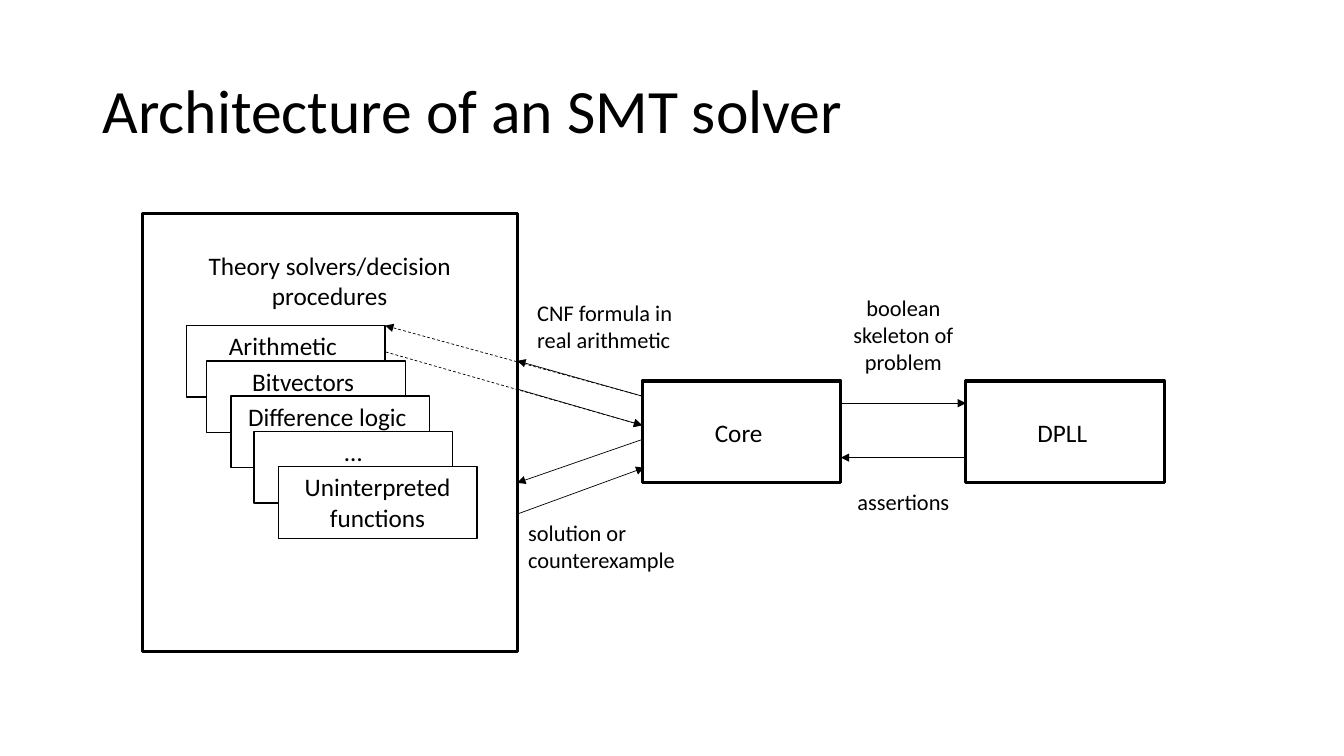
from lxml.etree import SubElement
from pptx import Presentation
from pptx.dml.color import RGBColor
from pptx.enum.dml import MSO_LINE
from pptx.enum.shapes import MSO_CONNECTOR, MSO_SHAPE
from pptx.enum.text import MSO_ANCHOR, PP_ALIGN
from pptx.oxml.ns import qn
from pptx.util import Inches, Pt

COLORS = {"ink": "000000", "paper": "FFFFFF"}
FONT = "Calibri"

# Regions as left, top, width, height in inches
TITLE = (0.92, 0.4, 11.5, 1.45)
THEORY = (1.41, 2.12, 3.72, 4.34)
CORE = (6.37, 3.78, 1.97, 1.01)
DPLL = (9.58, 3.78, 1.97, 1.01)

# Theory solvers with their left offset inside the panel
SOLVERS = [("Arithmetic ", 0.44), ("Bitvectors ", 0.64), ("Difference logic ", 0.88),
           ("…", 1.11), ("Uninterpreted functions", 1.35)]


def color(name):
    return RGBColor.from_string(COLORS[name])


def write(frame, lines, size, align, anchor=MSO_ANCHOR.TOP):
    frame.vertical_anchor = anchor
    for index, line in enumerate(lines):
        paragraph = frame.add_paragraph() if index else frame.paragraphs[0]
        paragraph.text = line
        paragraph.alignment = align
        paragraph.font.name = FONT
        paragraph.font.size = Pt(size)
        paragraph.font.color.rgb = color("ink")


def add_box(slide, box, text, line_width, anchor, filled=True):
    shape = slide.shapes.add_shape(MSO_SHAPE.RECTANGLE, *map(Inches, box))
    shape.shadow.inherit = False
    if filled:
        shape.fill.solid()
        shape.fill.fore_color.rgb = color("paper")
    else:
        shape.fill.background()
    shape.line.color.rgb = color("ink")
    shape.line.width = Pt(line_width)
    shape.text_frame.word_wrap = True
    write(shape.text_frame, [text], 18, PP_ALIGN.CENTER, anchor)
    return shape


def add_label(slide, box, lines, align=PP_ALIGN.LEFT, wrap=False):
    label = slide.shapes.add_textbox(*map(Inches, box))
    label.text_frame.word_wrap = wrap
    write(label.text_frame, lines, 16, align)


def add_arrow(slide, start, end, dashed=False):
    arrow = slide.shapes.add_connector(MSO_CONNECTOR.STRAIGHT, *map(Inches, start + end))
    arrow.line.color.rgb = color("ink")
    arrow.line.width = Pt(0.5)
    if dashed:
        arrow.line.dash_style = MSO_LINE.DASH
    SubElement(arrow.line._get_or_add_ln(), qn("a:tailEnd"), type="triangle")
    SubElement(arrow._element.spPr, qn("a:effectLst"))


def add_title(slide, box):
    title = slide.shapes.add_textbox(*map(Inches, box))
    title.text_frame.word_wrap = True
    write(title.text_frame, ["Architecture of an SMT solver"], 44, PP_ALIGN.LEFT, MSO_ANCHOR.MIDDLE)
    title.text_frame.paragraphs[0].line_spacing = 0.9


def add_theory_panel(slide, box):
    left, top, _, _ = box
    panel = add_box(slide, box, "Theory solvers/decision procedures", 2.25, MSO_ANCHOR.TOP, filled=False)
    panel.text_frame.margin_top = Inches(0.36)
    # Cascade of overlapping solvers
    for index, (name, offset) in enumerate(SOLVERS):
        add_box(slide, (left + offset, top + 1.11 + 0.35 * index, 1.97, 0.71), name, 1, MSO_ANCHOR.TOP)


def add_theory_exchange(slide, theory, core):
    edge = theory[0] + theory[2]
    left, top, _, _ = core
    # Dashed reply to one solver, then the exchange with the panel
    add_arrow(slide, (left, top + 0.15), (edge - 1.31, top - 0.55), dashed=True)
    add_arrow(slide, (left, top + 0.15), (edge, top - 0.2))
    add_arrow(slide, (edge, top + 0.08), (left, top + 0.44))
    add_arrow(slide, (left, top + 0.58), (edge, top + 1.01))
    add_arrow(slide, (edge, top + 1.32), (left + 0.02, top + 0.86))
    add_label(slide, (edge + 0.1, top - 0.86, 1.59, 0.91), ["CNF formula in", "real arithmetic"])
    add_label(slide, (edge + 0.01, top + 1.32, 1.66, 0.64), ["solution or", "counterexample"])


def add_dpll_exchange(slide, core, dpll):
    left = core[0] + core[2]
    right, top, _, height = dpll
    width = right - left
    add_arrow(slide, (left, top + 0.22), (right, top + 0.22))
    add_arrow(slide, (right, top + 0.76), (left, top + 0.76))
    add_label(slide, (left, top - 0.91, width, 0.91), ["boolean skeleton of problem"], PP_ALIGN.CENTER, True)
    add_label(slide, (left, top + height, width, 0.37), ["assertions"], PP_ALIGN.CENTER, True)


def main():
    presentation = Presentation()
    presentation.slide_width = Inches(13.33)
    presentation.slide_height = Inches(7.5)
    slide = presentation.slides.add_slide(presentation.slide_layouts[6])

    add_title(slide, TITLE)
    # Dashed request runs behind the solvers
    add_arrow(slide, (3.54, 3.41), (CORE[0], CORE[1] + 0.44), dashed=True)
    add_theory_panel(slide, THEORY)
    for box, name in ((CORE, "Core "), (DPLL, "DPLL ")):
        add_box(slide, box, name, 2.25, MSO_ANCHOR.MIDDLE)
    add_theory_exchange(slide, THEORY, CORE)
    add_dpll_exchange(slide, CORE, DPLL)

    presentation.save("out.pptx")


if __name__ == "__main__":
    main()
